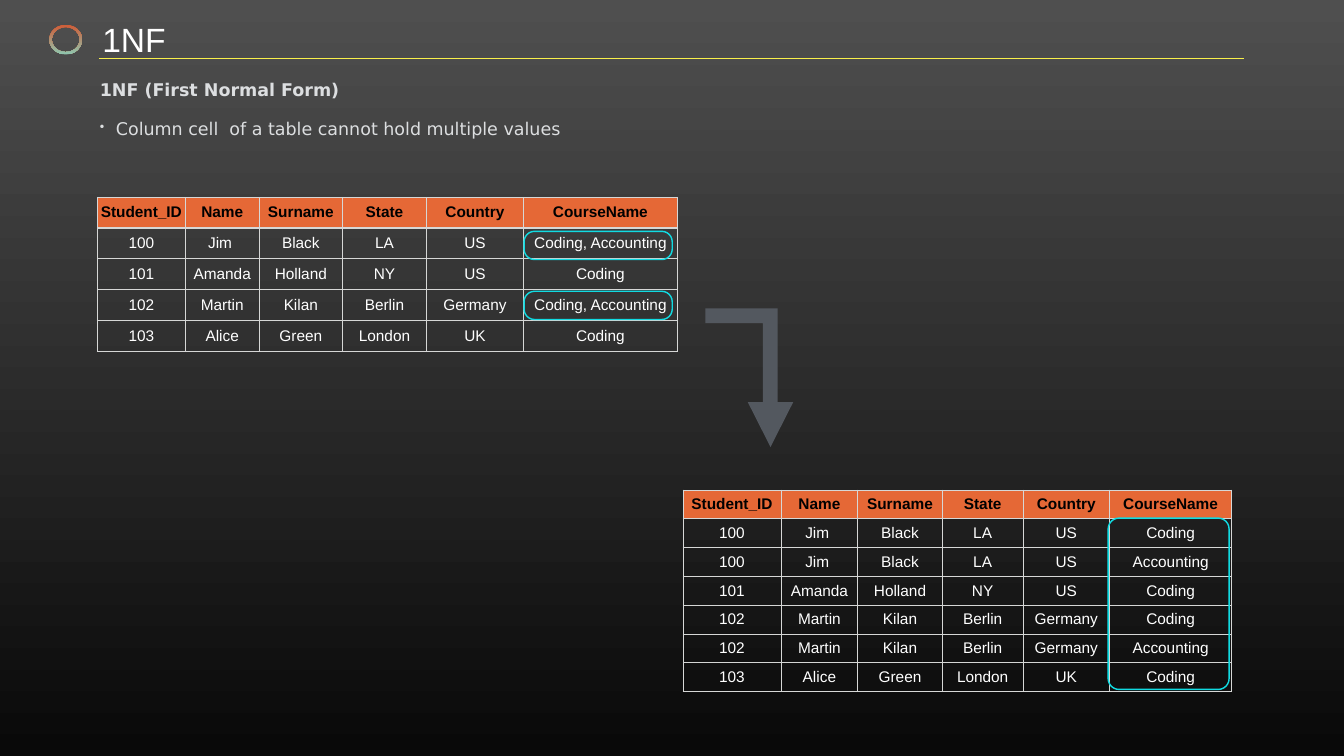
from lxml.etree import SubElement
from pptx import Presentation
from pptx.dml.color import RGBColor
from pptx.enum.shapes import MSO_CONNECTOR, MSO_SHAPE
from pptx.enum.text import MSO_ANCHOR, PP_ALIGN
from pptx.oxml.ns import qn
from pptx.util import Inches, Pt


def colour(value):
    return RGBColor.from_string(value)


class Page:
    ORANGE, CYAN, YELLOW = "E56836", "11DBE2", "F8EF4A"
    WHITE, BLACK, PALE, SLATE, GRID = "FFFFFF", "000000", "DCDEE0", "53585F", "D6D7D6"
    HEADING = {"name": "Arial", "size": Pt(48)}
    BODY = {"name": "DejaVu Sans", "size": Pt(25)}
    CELL = {"name": "Arial", "size": Pt(22)}

    def __init__(self, deck):
        self.slide = deck.slides.add_slide(deck.slide_layouts[6])
        self.shapes = self.slide.shapes

    def gradient(self, fill, start, end):
        fill.gradient()
        fill.gradient_angle = 270
        for stop, value, position in zip(fill.gradient_stops, (start, end), (0, 1)):
            stop.color.rgb = colour(value)
            stop.position = position

    def add_span(self, para, text, style, value, **extra):
        span = para.add_run()
        span.text = text
        for name, setting in {**style, **extra}.items():
            setattr(span.font, name, setting)
        span.font.color.rgb = colour(value)

    def text(self, left, top, width, height, text, style, value, spacing=None, bullet=None, **extra):
        box = self.shapes.add_textbox(Inches(left), Inches(top), Inches(width), Inches(height))
        frame = box.text_frame
        inset = Inches(0.08)
        layout = {"word_wrap": True, "vertical_anchor": MSO_ANCHOR.MIDDLE,
                  "margin_left": inset, "margin_right": inset,
                  "margin_top": inset, "margin_bottom": inset}
        for name, setting in layout.items():
            setattr(frame, name, setting)
        para = frame.paragraphs[0]
        if spacing:
            para.line_spacing = Pt(spacing)
        if bullet:
            properties = para._p.get_or_add_pPr()
            properties.set("marL", str(Inches(0.32)))
            properties.set("indent", str(-Inches(0.32)))
            SubElement(properties, qn("a:buSzPct"), val="75000")
            SubElement(properties, qn("a:buChar"), char=bullet)
        self.add_span(para, text, style, value, **extra)

    def line(self, left, right, top, value):
        rule = self.shapes.add_connector(
            MSO_CONNECTOR.STRAIGHT, Inches(left), Inches(top), Inches(right), Inches(top))
        rule.line.color.rgb = colour(value)
        rule.line.width = Pt(1)
        SubElement(rule._element.spPr, qn("a:effectLst"))

    def emblem(self, left, top, width, height):
        ring = self.shapes.add_shape(
            MSO_SHAPE.DONUT, Inches(left), Inches(top), Inches(width), Inches(height))
        ring.adjustments[0] = 0.08
        ring.shadow.inherit = False
        ring.line.fill.background()
        self.gradient(ring.fill, "CF5C37", "8FC5AE")

    def highlight(self, left, top, width, height, rounding):
        frame = self.shapes.add_shape(
            MSO_SHAPE.ROUNDED_RECTANGLE, Inches(left), Inches(top), Inches(width), Inches(height))
        frame.adjustments[0] = rounding
        frame.shadow.inherit = False
        frame.fill.background()
        frame.line.color.rgb = colour(self.CYAN)
        frame.line.width = Pt(2)

    def outline(self, points, value):
        corners = [(Inches(x), Inches(y)) for x, y in points]
        builder = self.shapes.build_freeform(*corners[0], scale=1.0)
        builder.add_line_segments(corners[1:], close=True)
        arrow = builder.convert_to_shape()
        arrow.shadow.inherit = False
        arrow.fill.solid()
        arrow.fill.fore_color.rgb = colour(value)
        arrow.line.fill.background()

    def borders(self, cell, header):
        properties = cell._tc.get_or_add_tcPr()
        for side in "LRTB":
            width = Pt(2 if header and side == "B" else 1)
            edge = SubElement(properties, qn(f"a:ln{side}"), w=str(width))
            SubElement(SubElement(edge, qn("a:solidFill")), qn("a:srgbClr"), val=self.GRID)

    def table(self, left, top, height, widths, rows):
        table = self.shapes.add_table(
            len(rows), len(widths), Inches(left), Inches(top),
            Inches(sum(widths)), Inches(height)).table
        table.first_row = table.horz_banding = False
        for column, width in zip(table.columns, widths):
            column.width = Inches(width)
        inset = Inches(0.06)
        layout = {"vertical_anchor": MSO_ANCHOR.MIDDLE,
                  "margin_left": inset, "margin_right": inset,
                  "margin_top": inset, "margin_bottom": inset}
        for row_index, row in enumerate(rows):
            header = row_index == 0
            for column_index, text in enumerate(row):
                cell = table.cell(row_index, column_index)
                for name, setting in layout.items():
                    setattr(cell, name, setting)
                self.borders(cell, header)
                if header:
                    cell.fill.solid()
                    cell.fill.fore_color.rgb = colour(self.ORANGE)
                else:
                    cell.fill.background()
                para = cell.text_frame.paragraphs[0]
                para.alignment = PP_ALIGN.CENTER
                self.add_span(para, text, self.CELL, self.BLACK if header else self.WHITE, bold=header)


def main():
    deck = Presentation()
    deck.slide_width, deck.slide_height = Inches(26.67), Inches(15)
    page = Page(deck)
    page.gradient(page.slide.background.fill, "4F4F4F", "090909")

    page.text(1.95, 0.39, 10.57, 0.77, "1NF", page.HEADING, page.WHITE)
    page.line(1.97, 24.69, 1.15, page.YELLOW)
    page.emblem(0.98, 0.49, 0.65, 0.59)
    page.text(1.9, 1.36, 7.9, 0.57, "1NF (First Normal Form)", page.BODY, page.PALE,
              spacing=48, bold=True)
    page.text(1.9, 2.13, 10.65, 0.57, "Column cell  of a table cannot hold multiple values",
              page.BODY, page.PALE, spacing=48, bullet="•")

    header = ["Student_ID", "Name", "Surname", "State", "Country", "CourseName"]
    students = [
        ["100", "Jim ", "Black", "LA", "US", "Coding, Accounting"],
        ["101", "Amanda", "Holland", "NY", "US", "Coding"],
        ["102", "Martin", "Kilan", "Berlin", "Germany", "Coding, Accounting"],
        ["103", "Alice", "Green", "London", "UK", "Coding"],
    ]
    normalised = [[*student, course] for *student, courses in students
                  for course in courses.split(", ")]

    page.table(1.93, 3.91, 3.06, [1.75, 1.46, 1.66, 1.66, 1.93, 3.05], [header, *students])
    page.outline([(14, 6.12), (14, 6.41), (15.14, 6.41), (15.14, 7.98), (14.84, 7.98),
                  (15.29, 8.87), (15.74, 7.98), (15.43, 7.98), (15.43, 6.12)], page.SLATE)
    page.table(13.55, 9.72, 4, [1.95, 1.52, 1.68, 1.6, 1.72, 2.42], [header, *normalised])

    page.highlight(21.99, 10.28, 2.4, 3.4, 0.09)
    for top in (4.59, 5.78):
        page.highlight(10.4, top, 2.94, 0.56, 0.37)

    deck.save("out.pptx")


if __name__ == "__main__":
    main()
